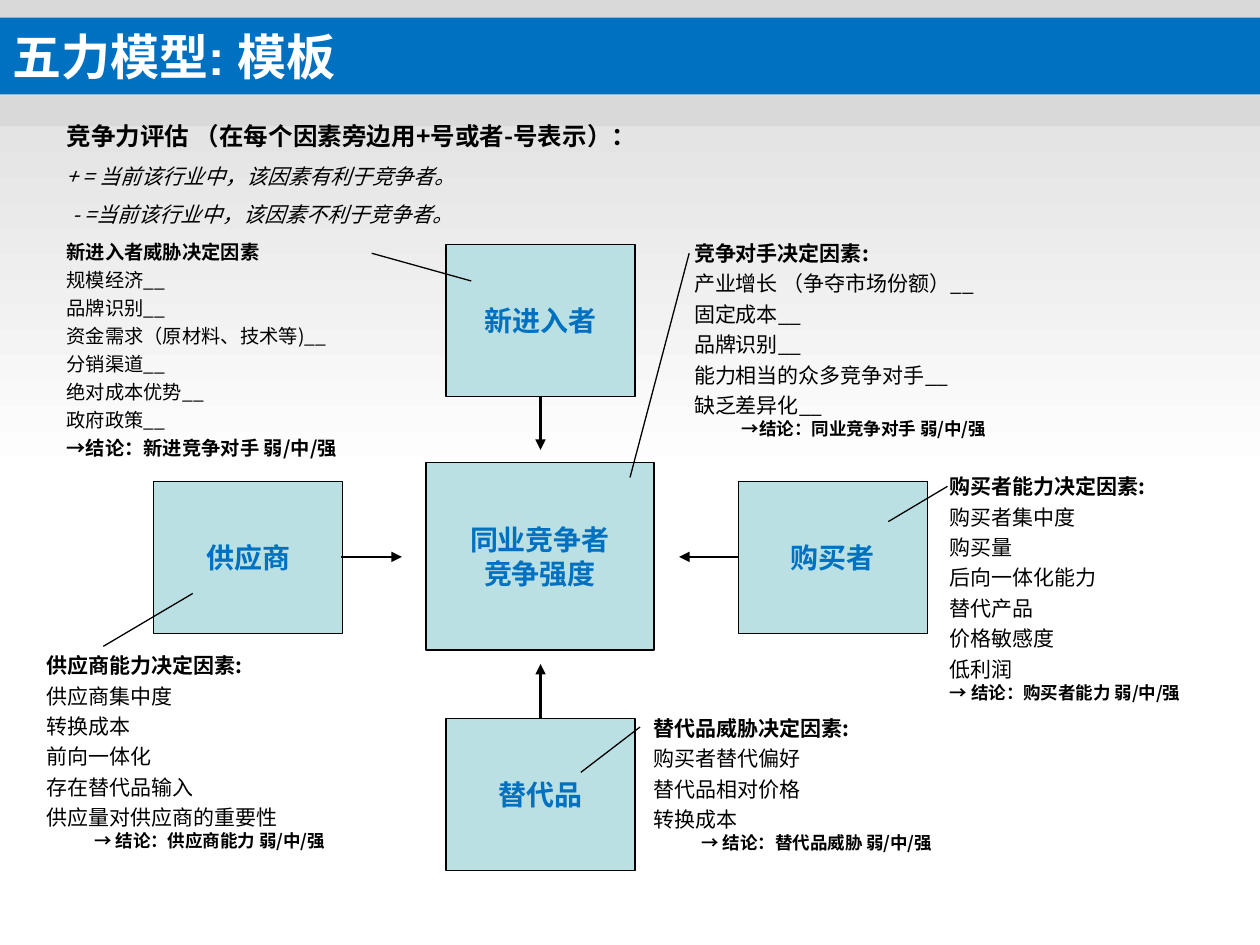
from dataclasses import dataclass

from lxml import etree
from pptx import Presentation
from pptx import util as u
from pptx.dml import color
from pptx.enum import shapes, text
from pptx.oxml import ns


@dataclass(frozen=True)
class Theme:
    blue: str = "0070C0"
    aqua: str = "BBE0E3"
    grey: str = "D9D9D9"
    white: str = "FFFFFF"
    black: str = "000000"
    latin: str = "Arial"
    asian: str = "Noto Sans CJK SC"
    title: float = 28
    force: float = 16
    lead: float = 14
    body: float = 12
    small: float = 11
    note: float = 10
    thin: float = 0.75
    thick: float = 1.5


T = Theme()
INDENT = 0.38
LEFT, MID, RIGHT = 1.22, 3.54, 5.86
TOP, ROW, LOW = 1.94, 3.82, 5.7
WIDE, HIGH = 1.5, 1.21

FORCES = [
    (LEFT, ROW, WIDE, HIGH, ["供应商"]),
    (MID, TOP, WIDE, HIGH, ["新进入者"]),
    (3.38, 3.67, 1.81, 1.49, ["同业竞争者", "竞争强度"]),
    (RIGHT, ROW, WIDE, HIGH, ["购买者"]),
    (MID, LOW, WIDE, HIGH, ["替代品"]),
]

ARROWS = [
    (2.71, 4.42, 3.19, 4.42),
    (4.29, 3.14, 4.29, 3.57),
    (5.86, 4.42, 5.39, 4.42),
    (4.29, 5.7, 4.29, 5.27),
]

LEADERS = [
    (0.82, 5.13, 1.53, 4.71),
    (2.95, 2.01, 3.74, 2.23),
    (5.47, 2.01, 5, 3.79),
    (7.52, 3.86, 7.05, 4.14),
    (5.08, 5.77, 4.61, 6.13),
]

FACTORS = [
    ((0.27, 5.13, 3.23, 1.68), "供应商能力决定因素:",
     ["供应商集中度", "转换成本", "前向一体化", "存在替代品输入",
      "供应量对供应商的重要性"],
     "→ ", "结论：供应商能力 弱/中/强", INDENT),
    ((5.41, 1.86, 3.68, 1.68), "竞争对手决定因素:",
     ["产业增长 （争夺市场份额）__", "固定成本__", "品牌识别__",
      "能力相当的众多竞争对手__", "缺乏差异化__"],
     "→", "结论：同业竞争对手 弱/中/强", INDENT),
    ((7.44, 3.71, 2.2, 1.92), "购买者能力决定因素:",
     ["购买者集中度", "购买量", "后向一体化能力", "替代产品",
      "价格敏感度", "低利润"],
     "→ ", "结论：购买者能力 弱/中/强", 0),
    ((5.09, 5.63, 3.06, 1.19), "替代品威胁决定因素:",
     ["购买者替代偏好", "替代品相对价格", "转换成本"],
     "→ ", "结论：替代品威胁 弱/中/强", INDENT),
]

ENTRY = ((0.43, 1.86, 3.07, 1.84), "新进入者威胁决定因素",
         ["规模经济__", "品牌识别__", "资金需求（原材料、技术等)__",
          "分销渠道__", "绝对成本优势__", "政府政策__"],
         "→", "结论：新进竞争对手 弱/中/强", 0)


def rgb(code):
    return color.RGBColor.from_string(code)


def apply(item, form):
    for key, value in form.items():
        setattr(item, key, value)


def add_run(para, words, size, hue=T.black, face=T.asian, **form):
    run = para.add_run()
    run.text = words
    apply(run.font, {"size": u.Pt(size), "name": face, **form})
    run.font.color.rgb = rgb(hue)
    east = etree.SubElement(run.font._element, ns.qn("a:ea"))
    east.set("typeface", T.asian)


def add_para(frame, first, gap=0, indent=0, **form):
    para = frame.paragraphs[0] if first else frame.add_paragraph()
    apply(para, {"space_before": u.Pt(0 if first else gap), **form})
    if indent:
        props = para._p.get_or_add_pPr()
        props.set("marL", str(u.Inches(indent)))
        props.set("indent", "0")
    return para


def add_rect(slide, area, fill, edge=None):
    rect = slide.shapes.add_shape(
        shapes.MSO_SHAPE.RECTANGLE, *map(u.Inches, area))
    rect.shadow.inherit = False
    rect.fill.solid()
    rect.fill.fore_color.rgb = rgb(fill)
    if edge:
        rect.line.color.rgb = rgb(edge)
        rect.line.width = u.Pt(T.thin)
    else:
        rect.line.fill.background()
    return rect


def add_box(slide, area):
    box = slide.shapes.add_textbox(*map(u.Inches, area))
    apply(box.text_frame, {
        "word_wrap": True,
        "auto_size": text.MSO_AUTO_SIZE.SHAPE_TO_FIT_TEXT,
    })
    return box.text_frame


def add_line(slide, ends, width, head=False):
    line = slide.shapes.add_connector(
        shapes.MSO_CONNECTOR.STRAIGHT, *map(u.Inches, ends))
    line.line.color.rgb = rgb(T.black)
    line.line.width = u.Pt(width)
    if head:
        tail = etree.SubElement(line.line._get_or_add_ln(), ns.qn("a:tailEnd"))
        tail.set("type", "triangle")
    etree.SubElement(line._element.spPr, ns.qn("a:effectLst"))


def add_force(slide, x, y, w, h, names):
    frame = add_rect(slide, (x, y, w, h), T.aqua, T.black).text_frame
    apply(frame, {"word_wrap": True, "vertical_anchor": text.MSO_ANCHOR.MIDDLE})
    for i, name in enumerate(names):
        para = add_para(frame, i == 0, alignment=text.PP_ALIGN.CENTER)
        add_run(para, name, T.force, T.blue, bold=True)


def add_list(slide, area, head, items, mark, result, indent,
             size=T.body, gap=3, note=T.note, rise=0):
    frame = add_box(slide, area)
    add_run(add_para(frame, True), head, size, bold=True)
    for item in items:
        add_run(add_para(frame, False, gap), item, size, bold=False)
    para = add_para(frame, False, rise, indent)
    add_run(para, mark, note, face=T.latin, bold=True)
    add_run(para, result, note, bold=True)


def add_back(slide):
    fade = add_rect(slide, (0, 0, 10, 3.83), T.grey)
    fade.fill.gradient()
    fade.fill.gradient_angle = 270
    for stop, hue in zip(fade.fill.gradient_stops, (T.grey, T.white)):
        stop.color.rgb = rgb(hue)
    add_rect(slide, (0, 0.76, 10, 0.24), T.grey)


def add_title(slide):
    frame = add_rect(slide, (0, 0.14, 10, 0.61), T.blue).text_frame
    apply(frame, {"word_wrap": True, "vertical_anchor": text.MSO_ANCHOR.MIDDLE})
    para = add_para(frame, True, alignment=text.PP_ALIGN.LEFT)
    add_run(para, "五力模型: 模板", T.title, T.white, T.latin, bold=True)


def add_key(slide):
    frame = add_box(slide, (0.43, 0.91, 7.88, 0.94))
    add_run(add_para(frame, True),
            "竞争力评估 （在每个因素旁边用+号或者-号表示）：", T.lead, bold=True)
    for words, indent in (("+ = 当前该行业中，该因素有利于竞争者。", 0),
                          ("- =当前该行业中，该因素不利于竞争者。", 0.05)):
        add_run(add_para(frame, False, 7.5, indent), words, T.body, italic=True)


def main():
    deck = Presentation()
    apply(deck, {"slide_width": u.Inches(10), "slide_height": u.Inches(7.5)})
    slide = deck.slides.add_slide(deck.slide_layouts[6])
    add_back(slide)
    add_title(slide)
    for force in FORCES:
        add_force(slide, *force)
    for ends in ARROWS:
        add_line(slide, ends, T.thick, True)
    for ends in LEADERS:
        add_line(slide, ends, T.thin)
    for factor in FACTORS:
        add_list(slide, *factor)
    add_list(slide, *ENTRY, size=T.small, gap=2.8, note=T.small, rise=2.8)
    add_key(slide)
    deck.save("out.pptx")


if __name__ == "__main__":
    main()
